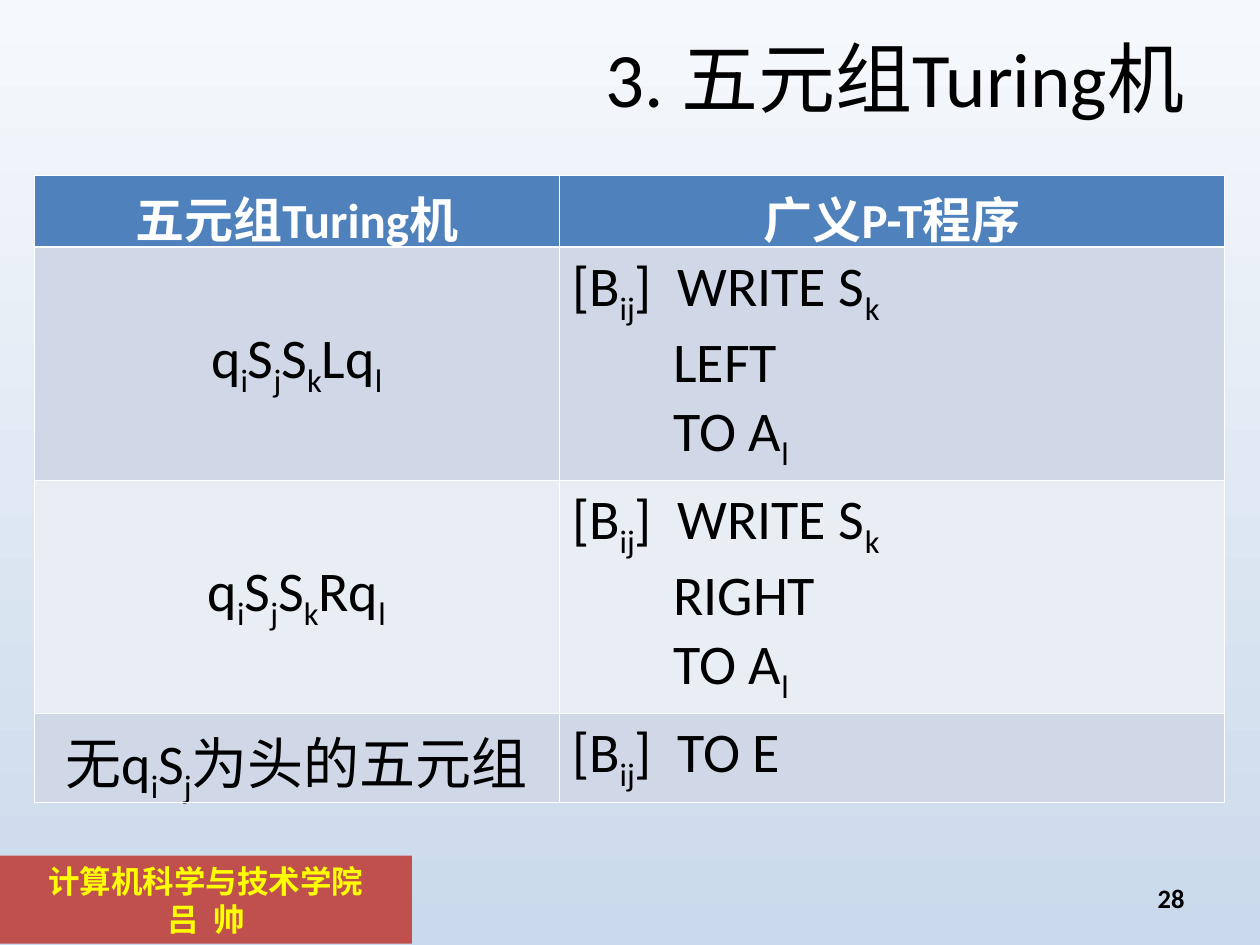
from lxml.etree import SubElement
from pptx import Presentation
from pptx.dml.color import RGBColor
from pptx.enum.shapes import MSO_SHAPE as Shape
from pptx.enum.text import MSO_ANCHOR as Anchor, PP_ALIGN as Align
from pptx.oxml.ns import qn
from pptx.util import Inches, Pt

WIDTH, HEIGHT = Inches(10), Inches(7.5)
BLACK = RGBColor(0x00, 0x00, 0x00)
WHITE = RGBColor(0xFF, 0xFF, 0xFF)
YELLOW = RGBColor(0xFF, 0xFF, 0x00)
RED = RGBColor(0xC0, 0x50, 0x4D)
BLUE = RGBColor(0x4F, 0x81, 0xBD)
BAND_DARK = RGBColor(0xD0, 0xD8, 0xE8)
BAND_LIGHT = RGBColor(0xE9, 0xED, 0xF4)
SKY_TOP = RGBColor(0xF6, 0xF9, 0xFC)
SKY_BOTTOM = RGBColor(0xCA, 0xD9, 0xEB)

THIN, THICK = Pt(0.45), Pt(1.47)
COLUMNS = (4.17, 5.28)
ROW_HEIGHTS = (0.57, 1.85, 1.85, 0.71)

# Every second part between bars is a subscript
HEADINGS = ("五元组Turing机", "广义P-T程序")
RULES = (
    ("q|i|S|j|S|k|Lq|l", ("[B|ij|]  WRITE S|k", "        LEFT", "        TO A|l")),
    ("q|i|S|j|S|k|Rq|l", ("[B|ij|]  WRITE S|k", "        RIGHT", "        TO A|l")),
    ("无q|i|S|j|为头的五元组", ("[B|ij|]  TO E",)),
)


def write(frame, lines, size, color, align, bold=False, font="Calibri"):
    """Fill a text frame, one paragraph per line, run by run."""
    for number, line in enumerate(lines):
        para = frame.add_paragraph() if number else frame.paragraphs[0]
        para.alignment = align
        for position, part in enumerate(line.split("|")):
            if not part:
                continue
            span = para.add_run()
            span.text = part
            span.font.name, span.font.size = font, Pt(size)
            span.font.bold, span.font.color.rgb = bold, color
            if position % 2:
                span._r.get_or_add_rPr().set("baseline", "-25000")


def paint_background(page):
    fill = page.background.fill
    fill.gradient()
    fill.gradient_angle = 270
    for stop, color in zip(fill.gradient_stops, (SKY_TOP, SKY_BOTTOM)):
        stop.color.rgb = color


def add_label(page, place, text, size, bold=False):
    """Add a right-aligned line of text, centred in its box."""
    box = page.shapes.add_textbox(*map(Inches, place))
    frame = box.text_frame
    frame.word_wrap = True
    frame.vertical_anchor = Anchor.MIDDLE
    write(frame, [text], size, BLACK, Align.RIGHT, bold)
    return box


def add_footer(page):
    box = page.shapes.add_shape(
        Shape.RECTANGLE, 0, Inches(6.79), Inches(3.27), Inches(0.7))
    box.shadow.inherit = False
    box.fill.solid()
    box.fill.fore_color.rgb = RED
    box.line.fill.background()
    box.text_frame.vertical_anchor = Anchor.TOP
    write(box.text_frame, ["计算机科学与技术学院", "吕  帅"],
          18, YELLOW, Align.CENTER, True, "Arial")


def style_cell(cell, color, top=THIN, bottom=THIN):
    """Draw the white borders, then the fill that must follow them."""
    properties = cell._tc.get_or_add_tcPr()
    for side, width in (("L", THIN), ("R", THIN), ("T", top), ("B", bottom)):
        line = SubElement(properties, qn(f"a:ln{side}"), w=str(int(width)))
        solid = SubElement(line, qn("a:solidFill"))
        SubElement(solid, qn("a:srgbClr"), val=str(WHITE))
    cell.fill.solid()
    cell.fill.fore_color.rgb = color


def add_rule_table(page):
    table = page.shapes.add_table(
        len(ROW_HEIGHTS), len(COLUMNS), Inches(0.27), Inches(1.39),
        Inches(sum(COLUMNS)), Inches(sum(ROW_HEIGHTS))).table
    table.horz_banding = False
    for column, width in zip(table.columns, COLUMNS):
        column.width = Inches(width)
    for row, height in zip(table.rows, ROW_HEIGHTS):
        row.height = Inches(height)

    # Header row
    for cell, heading in zip(table.rows[0].cells, HEADINGS):
        style_cell(cell, BLUE, bottom=THICK)
        write(cell.text_frame, [heading], 28, WHITE, Align.CENTER, True)

    # One row per quintuple, with its program beside it
    for number, (quintuple, program) in enumerate(RULES, 1):
        left, right = table.rows[number].cells
        for cell in (left, right):
            style_cell(cell, BAND_DARK if number % 2 else BAND_LIGHT,
                       top=THICK if number == 1 else THIN)
        left.vertical_anchor = Anchor.MIDDLE
        write(left.text_frame, [quintuple], 32, BLACK, Align.CENTER)
        write(right.text_frame, program, 32, BLACK, Align.LEFT)


def main():
    deck = Presentation()
    deck.slide_width, deck.slide_height = WIDTH, HEIGHT
    page = deck.slides.add_slide(deck.slide_layouts[6])
    paint_background(page)
    add_footer(page)
    add_label(page, (0.5, 0.3, 9, 0.61), "3. 五元组Turing机", 44)
    number = add_label(page, (7.17, 6.95, 2.33, 0.4), "28", 15.2, True)
    number.text_frame.paragraphs[0].line_spacing = 0.8
    add_rule_table(page)
    deck.save("out.pptx")


if __name__ == "__main__":
    main()
